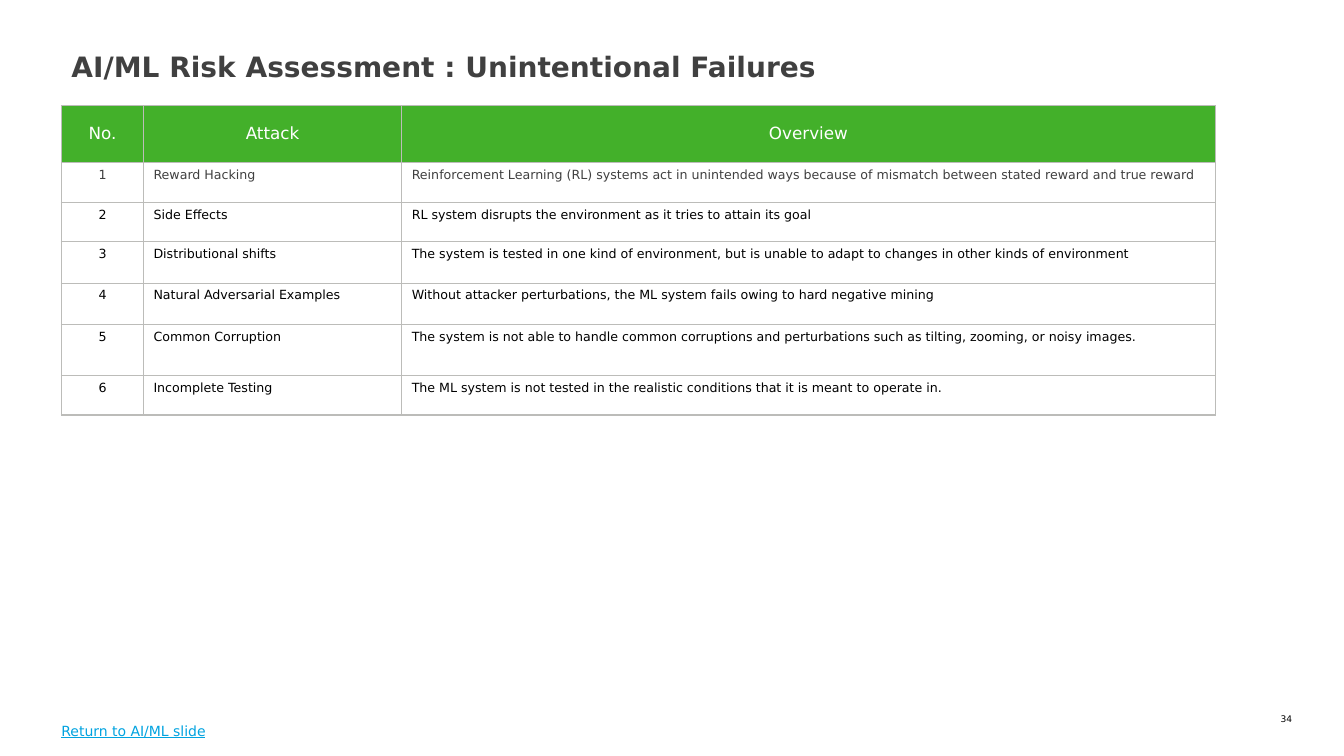
import pptx
import pptx.dml.color
import pptx.enum.text
import pptx.oxml
import pptx.oxml.ns
import pptx.util

Pt = pptx.util.Pt
RGBColor = pptx.dml.color.RGBColor
Align = pptx.enum.text.PP_ALIGN
Anchor = pptx.enum.text.MSO_ANCHOR

GREEN = RGBColor(0x43, 0xB0, 0x2A)
WHITE = RGBColor(0xFF, 0xFF, 0xFF)
BLACK = RGBColor(0, 0, 0)
CHARCOAL = RGBColor(0x40, 0x40, 0x40)
BLUE = RGBColor(0x00, 0xA3, 0xE0)
GRID = RGBColor(0xBC, 0xBC, 0xB9)

HEADINGS = ("No.", "Attack", "Overview")
FAILURES = (
    ("Reward Hacking", "Reinforcement Learning (RL) systems act in unintended ways because of mismatch between stated reward and true reward"),
    ("Side Effects", "RL system disrupts the environment as it tries to attain its goal"),
    ("Distributional shifts", "The system is tested in one kind of environment, but is unable to adapt to changes in other kinds of environment"),
    ("Natural Adversarial Examples", "Without attacker perturbations, the ML system fails owing to hard negative mining"),
    ("Common Corruption", "The system is not able to handle common corruptions and perturbations such as tilting, zooming, or noisy images."),
    ("Incomplete Testing", "The ML system is not tested in the realistic conditions that it is meant to operate in."),
)
COLUMN_WIDTHS = (58.5, 184.5, 581)
ROW_HEIGHTS = (40.6, 28.6, 28, 29.6, 29.6, 36.6, 28)


class SlideBuilder:
    font_name = "DejaVu Sans"

    def __init__(self, slide):
        self.slide = slide

    def set_text(self, frame, text, size, color, align=Align.LEFT, bold=False, underline=False, spacing=None):
        paragraph = frame.paragraphs[0]
        paragraph.text = text
        paragraph.alignment = align
        paragraph.line_spacing = spacing
        font = paragraph.font
        font.name = self.font_name
        font.size = Pt(size)
        font.bold = bold
        font.underline = underline
        font.color.rgb = color

    def text(self, left, top, width, height, text, size, color, anchor=Anchor.TOP, insets=(0, 0), **style):
        box = self.slide.shapes.add_textbox(Pt(left), Pt(top), Pt(width), Pt(height))
        frame = box.text_frame
        frame.word_wrap = True
        frame.vertical_anchor = anchor
        frame.margin_left = frame.margin_right = Pt(insets[0])
        frame.margin_top = frame.margin_bottom = Pt(insets[1])
        self.set_text(frame, text, size, color, **style)

    def borders(self, cell):
        properties = cell._tc.get_or_add_tcPr()
        for side in ("lnL", "lnR", "lnT", "lnB"):
            properties.append(pptx.oxml.parse_xml(
                f'<a:{side} {pptx.oxml.ns.nsdecls("a")} w="{Pt(1)}"><a:solidFill>'
                f'<a:srgbClr val="{GRID}"/></a:solidFill></a:{side}>'))

    def table(self, left, top, widths, heights, rows):
        frame = self.slide.shapes.add_table(
            len(heights), len(widths), Pt(left), Pt(top), Pt(sum(widths)), Pt(sum(heights)))
        table = frame.table
        table.first_row = table.horz_banding = False
        for column, width in zip(table.columns, widths):
            column.width = Pt(width)
        for row, height in zip(table.rows, heights):
            row.height = Pt(height)
        for row_index, row in enumerate(rows):
            heading = row_index == 0
            color = WHITE if heading else CHARCOAL if row_index == 1 else BLACK
            for column_index, text in enumerate(row):
                cell = table.cell(row_index, column_index)
                self.borders(cell)
                if heading:
                    cell.fill.solid()
                    cell.fill.fore_color.rgb = GREEN
                    cell.vertical_anchor = Anchor.MIDDLE
                else:
                    cell.fill.background()
                centred = heading or column_index == 0
                self.set_text(cell.text_frame, text, 12 if heading else 9, color,
                              Align.CENTER if centred else Align.LEFT)


def main():
    deck = pptx.Presentation()
    deck.slide_width = Pt(960)
    deck.slide_height = Pt(540)
    builder = SlideBuilder(deck.slides.add_slide(deck.slide_layouts[6]))
    builder.text(898.5, 509.75, 24.5, 8, "34", 6.5, BLACK, align=Align.RIGHT)
    numbered = [(str(number), *failure) for number, failure in enumerate(FAILURES, 1)]
    builder.table(44, 75.5, COLUMN_WIDTHS, ROW_HEIGHTS, [HEADINGS, *numbered])
    builder.text(44, 31, 886, 32.4, "AI/ML Risk Assessment : Unintentional Failures", 20, CHARCOAL,
                 anchor=Anchor.BOTTOM, insets=(7.2, 3.6), bold=True, spacing=0.9)
    builder.text(36.8, 515.5, 144.7, 13, "Return to AI/ML slide", 10, BLUE,
                 anchor=Anchor.MIDDLE, insets=(7.2, 7.2), underline=True, spacing=1.06)
    deck.save("out.pptx")


if __name__ == "__main__":
    main()
